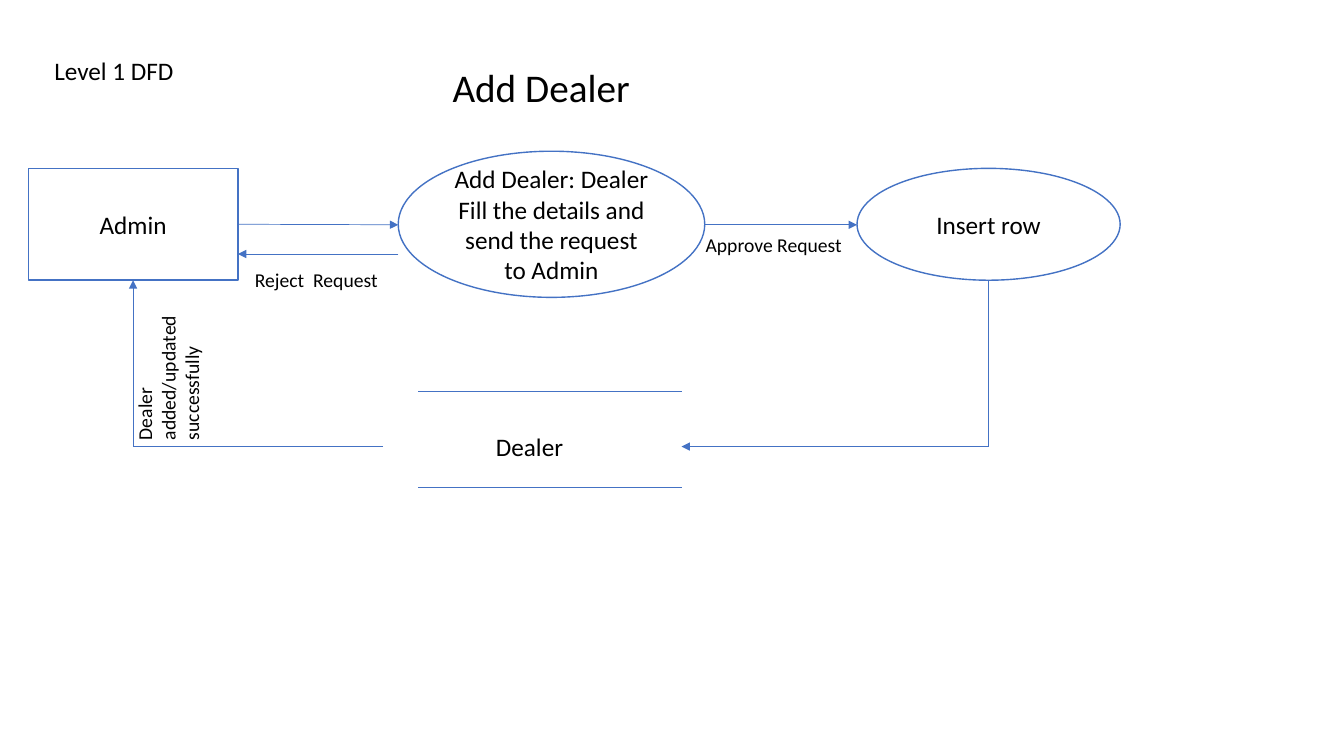
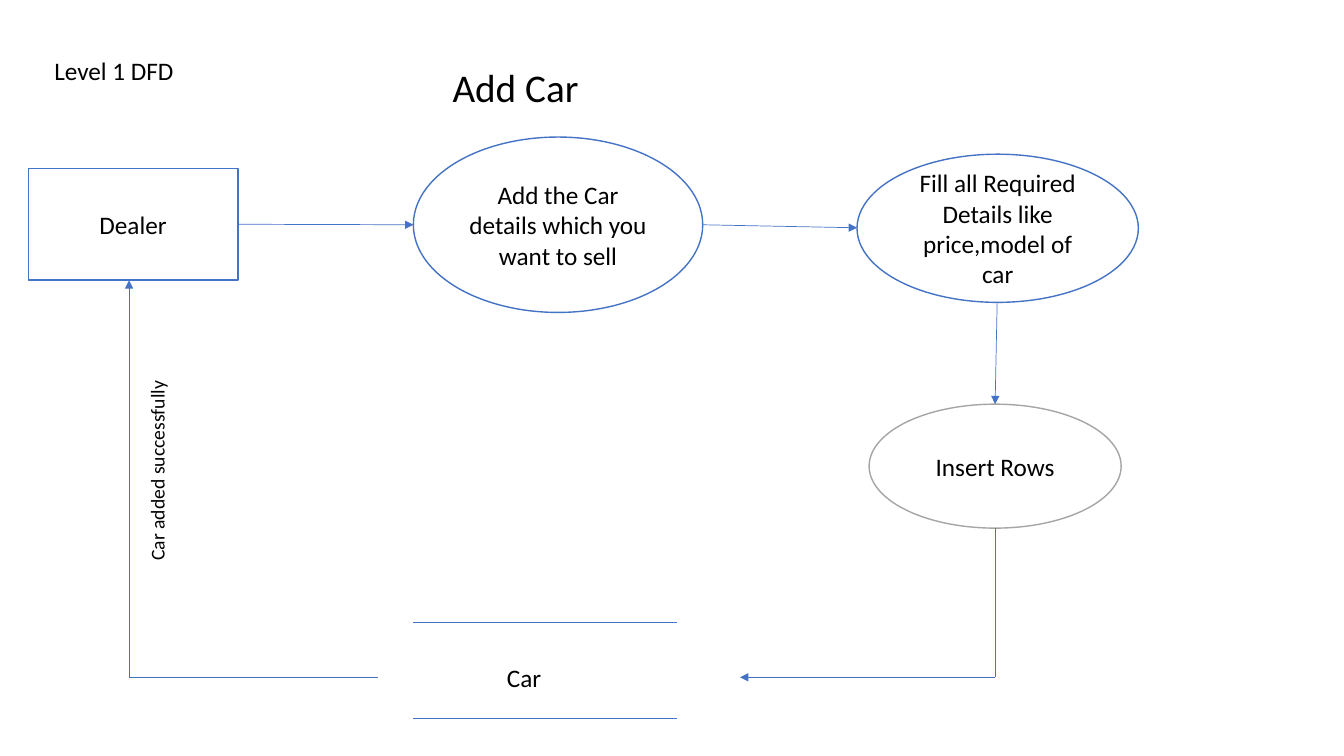
import dataclasses
import itertools

import lxml.etree
import pptx
import pptx.dml.color
import pptx.enum.shapes
import pptx.enum.text
import pptx.oxml.ns
import pptx.util

# Shared look
PX = 9144  # EMU in one px, 100 px to the inch
FONT = "Calibri"
BLACK = pptx.dml.color.RGBColor(0x00, 0x00, 0x00)
WHITE = pptx.dml.color.RGBColor(0xFF, 0xFF, 0xFF)
BLUE = pptx.dml.color.RGBColor(0x44, 0x72, 0xC4)
GRAY = pptx.dml.color.RGBColor(0xA5, 0xA5, 0xA5)
RECT = pptx.enum.shapes.MSO_SHAPE.RECTANGLE
OVAL = pptx.enum.shapes.MSO_SHAPE.OVAL
ALIGN = pptx.enum.text.PP_ALIGN
ANCHOR = pptx.enum.text.MSO_ANCHOR
BOTTOM, RIGHT = 2, 3  # connection sites of the actor box


@dataclasses.dataclass(frozen=True)
class Step:
    """A process drawn as an ellipse."""
    text: str
    box: tuple[int, int, int, int]
    color: pptx.dml.color.RGBColor = BLUE


@dataclasses.dataclass(frozen=True)
class Flow:
    """A line through points; start and end are sites on the actor."""
    points: tuple[tuple[int, int], ...]
    arrow: bool = True
    start: int | None = None
    end: int | None = None


@dataclasses.dataclass(frozen=True)
class Label:
    text: str
    box: tuple[int, int, int, int]
    size: int = 14
    turn: int = 0


@dataclasses.dataclass(frozen=True)
class Chart:
    """One data flow diagram; store is the left and top of its data store."""
    title: str
    actor: str
    steps: tuple[Step, ...]
    flows: tuple[Flow, ...]
    store: tuple[int, int]
    labels: tuple[Label, ...]


CHARTS = (
    Chart(
        title="Add Dealer",
        actor="Admin",
        steps=(
            Step("Add Dealer: Dealer Fill the details and send the request to Admin",
                 (395, 150, 304, 145)),
            Step("Insert row", (850, 167, 261, 111)),
        ),
        flows=(
            Flow(((236, 223), (395, 223)), start=RIGHT),
            Flow(((395, 252), (236, 252))),
            Flow(((699, 223), (850, 223))),
            Flow(((980, 278), (980, 443), (676, 443))),
            Flow(((380, 443), (132, 443), (132, 278)), end=BOTTOM),
        ),
        store=(415, 388),
        labels=(
            Label("Dealer", (482, 423, 141, 40), 18),
            Label("Dealer added/updated successfully", (75, 314, 184, 81), turn=270),
            Label("Approve Request", (690, 226, 194, 34)),
            Label("Reject  Request", (243, 261, 194, 34)),
        ),
    ),
    Chart(
        title="Add Car",
        actor="Dealer",
        steps=(
            Step("Add the Car details which you want to sell", (410, 136, 287, 174)),
            Step("Fill all Required Details like price,model of car",
                 (850, 153, 279, 147)),
            Step("Insert Rows", (862, 401, 250, 123), GRAY),
        ),
        flows=(
            Flow(((236, 223), (410, 223)), start=RIGHT),
            Flow(((697, 223), (850, 226))),
            Flow(((989, 300), (987, 401))),
            Flow(((987, 524), (987, 672), (734, 672))),
            Flow(((375, 672), (128, 672), (128, 278))),
        ),
        store=(410, 617),
        labels=(
            Label("Car", (493, 652, 116, 40), 18),
            Label("Car added successfully", (23, 416, 266, 34), turn=270),
        ),
    ),
)


def scale(*sides: int) -> list[int]:
    return [side * PX for side in sides]


def write(shape, text: str, *, size: int = 18, align=ALIGN.LEFT,
          anchor=ANCHOR.TOP) -> None:
    frame = shape.text_frame
    frame.word_wrap = True
    frame.vertical_anchor = anchor
    line = frame.paragraphs[0]
    line.alignment = align
    run = line.add_run()
    run.text = text
    run.font.name = FONT
    run.font.size = pptx.util.Pt(size)
    run.font.color.rgb = BLACK


def add_label(slide, label: Label) -> None:
    area = slide.shapes.add_textbox(*scale(*label.box))
    area.rotation = label.turn
    write(area, label.text, size=label.size)


def add_node(slide, kind, step: Step):
    node = slide.shapes.add_shape(kind, *scale(*step.box))
    node.shadow.inherit = False
    node.fill.solid()
    node.fill.fore_color.rgb = WHITE
    node.line.color.rgb = step.color
    node.line.width = pptx.util.Pt(1)
    write(node, step.text, align=ALIGN.CENTER, anchor=ANCHOR.MIDDLE)
    return node


def add_line(slide, start: tuple[int, int], end: tuple[int, int],
             arrow: bool = False):
    line = slide.shapes.add_connector(
        pptx.enum.shapes.MSO_CONNECTOR.STRAIGHT, *scale(*start, *end))
    line.line.color.rgb = BLUE
    line.line.width = pptx.util.Pt(0.5)
    name = pptx.oxml.ns.qn
    props = line.element.spPr
    if arrow:
        lxml.etree.SubElement(props.find(name("a:ln")), name("a:tailEnd"),
                              type="triangle")
    lxml.etree.SubElement(props, name("a:effectLst"))
    return line


def add_flow(slide, flow: Flow, actor) -> None:
    pairs = list(itertools.pairwise(flow.points))
    lines = [add_line(slide, *pair, arrow=flow.arrow and pair == pairs[-1])
             for pair in pairs]
    if flow.start is not None:
        lines[0].begin_connect(actor, flow.start)
    if flow.end is not None:
        lines[-1].end_connect(actor, flow.end)


def add_store(slide, left: int, top: int) -> None:
    for y in (top, top + 96):
        add_line(slide, (left, y), (left + 261, y))


def draw(slide, chart: Chart) -> None:
    # Headings
    add_label(slide, Label("Level 1 DFD", (44, 50, 150, 40), 18))
    add_label(slide, Label(chart.title, (439, 58, 298, 57), 28))
    # Actor and process steps
    actor = add_node(slide, RECT, Step(chart.actor, (28, 167, 208, 111)))
    for step in chart.steps:
        add_node(slide, OVAL, step)
    # Flows, data store and captions
    for flow in chart.flows:
        add_flow(slide, flow, actor)
    add_store(slide, *chart.store)
    for label in chart.labels:
        add_label(slide, label)


def main() -> None:
    deck = pptx.Presentation()
    deck.slide_width, deck.slide_height = scale(1333, 750)
    for chart in CHARTS:
        draw(deck.slides.add_slide(deck.slide_layouts[6]), chart)
    deck.save("out.pptx")


if __name__ == "__main__":
    main()
